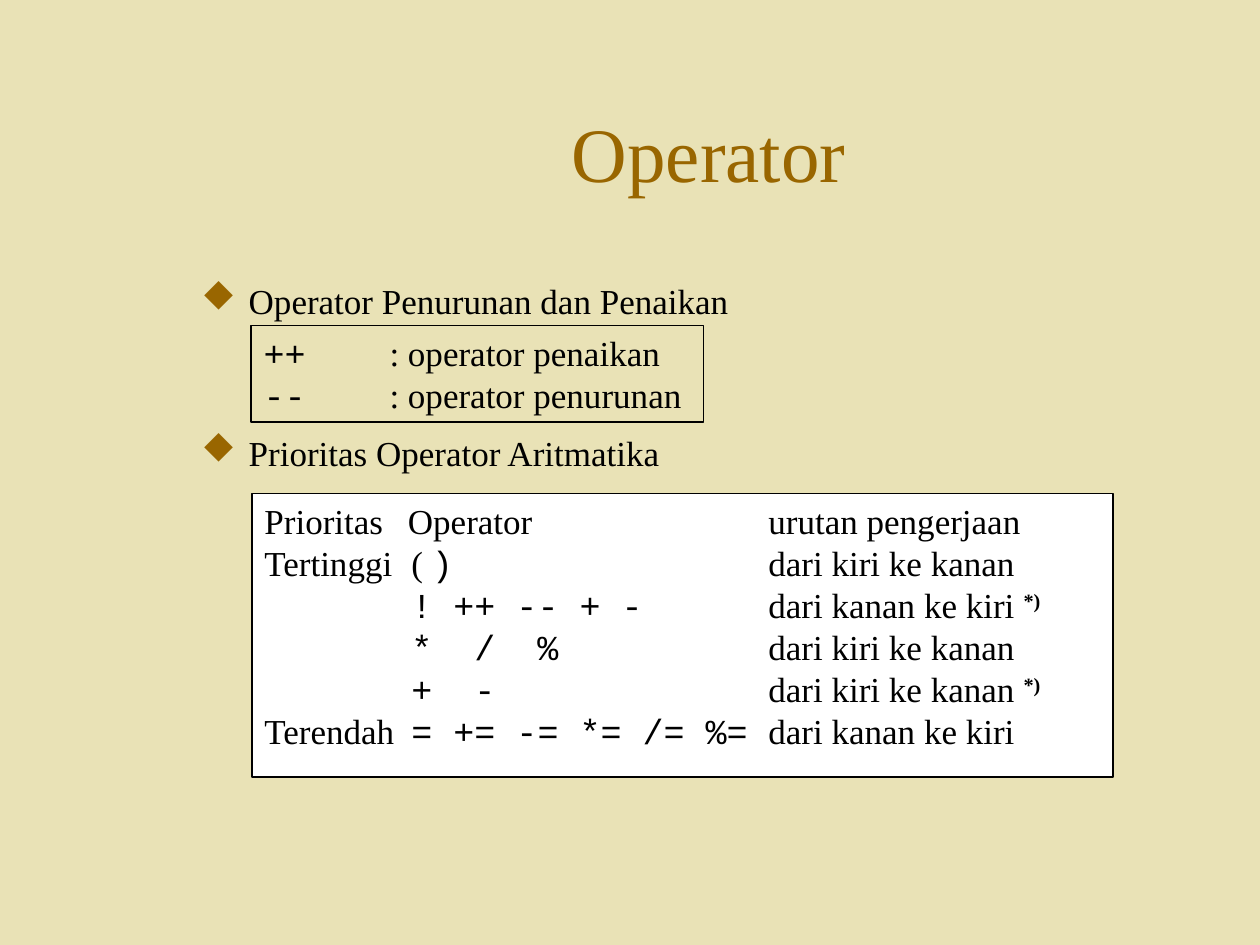
from lxml import etree
from pptx import Presentation
from pptx.dml.color import RGBColor
from pptx.enum.shapes import MSO_SHAPE
from pptx.enum.text import MSO_ANCHOR, PP_ALIGN
from pptx.oxml.ns import qn
from pptx.util import Pt

RECTANGLE = MSO_SHAPE.RECTANGLE
TOP, MIDDLE = MSO_ANCHOR.TOP, MSO_ANCHOR.MIDDLE
LEFT, CENTER = PP_ALIGN.LEFT, PP_ALIGN.CENTER
SERIF, MONO = "Times New Roman", "Courier New"
BULLET_FONT, DIAMOND = "Wingdings", "u"
BLACK, WHITE, BROWN, SAND = "000000", "FFFFFF", "996600", "E9E2B6"
TEXT_SIZE = 20
OPERATOR_STOP, OPERATOR_STEP, ORDER_STOP = 84, 36, 288

INCREMENT_ROWS = [("++", "operator penaikan"), ("--", "operator penurunan")]
PRIORITY_ROWS = [
    ("Tertinggi", [("( ", SERIF), (")", MONO)], "dari kiri ke kanan", ""),
    ("", [("! ++ -- + -", MONO)], "dari kanan ke kiri ", "*)"),
    ("", [("*\t/\t%", MONO)], "dari kiri ke kanan", ""),
    ("", [("+\t-", MONO)], "dari kiri ke kanan ", "*)"),
    ("Terendah", [("= += -= *= /= %=", MONO)], "dari kanan ke kiri", ""),
]


def color(value):
    return RGBColor.from_string(value)


def style_paragraph(para, size=TEXT_SIZE, ink=BLACK, align=LEFT):
    para.alignment = align
    para.font.size = Pt(size)
    para.font.name = SERIF
    para.font.color.rgb = color(ink)


def add_tab_stops(para, stops):
    tabs = etree.SubElement(para._p.get_or_add_pPr(), qn("a:tabLst"))
    for stop in stops:
        etree.SubElement(tabs, qn("a:tab"), pos=str(Pt(stop)), algn="l")


def add_bullet(para, indent):
    properties = para._p.get_or_add_pPr()
    properties.set("marL", str(Pt(indent)))
    properties.set("indent", str(-Pt(indent)))
    bullet_color = etree.SubElement(properties, qn("a:buClr"))
    etree.SubElement(bullet_color, qn("a:srgbClr"), val=BROWN)
    etree.SubElement(properties, qn("a:buFont"), typeface=BULLET_FONT, charset="2")
    etree.SubElement(properties, qn("a:buChar"), char=DIAMOND)


def add_span(para, text, font=SERIF):
    span = para.add_run()
    span.text = text
    span.font.name = font
    return span


def next_paragraph(frame, index):
    return frame.add_paragraph() if index else frame.paragraphs[0]


def add_frame(page, box):
    frame = page.shapes.add_textbox(*map(Pt, box)).text_frame
    frame.word_wrap = True
    return frame


def add_panel(page, box, line_width, fill=None):
    panel = page.shapes.add_shape(RECTANGLE, *map(Pt, box))
    panel.shadow.inherit = False
    if fill:
        panel.fill.solid()
        panel.fill.fore_color.rgb = color(fill)
    else:
        panel.fill.background()
    panel.line.color.rgb = color(BLACK)
    panel.line.width = Pt(line_width)
    panel.text_frame.vertical_anchor = TOP
    return panel.text_frame


def add_title(page, box, text):
    frame = add_frame(page, box)
    frame.vertical_anchor = MIDDLE
    para = frame.paragraphs[0]
    para.text = text
    style_paragraph(para, 44, BROWN, CENTER)


def add_headings(page, box, headings, gap):
    frame = add_frame(page, box)
    for index, text in enumerate(headings):
        para = next_paragraph(frame, index)
        para.text = text
        if index:
            para.space_before = Pt(gap)
        add_bullet(para, 27)
        style_paragraph(para)


def add_increment_panel(page, box):
    frame = add_panel(page, box, 1)
    frame.word_wrap = False
    for index, (operator, meaning) in enumerate(INCREMENT_ROWS):
        para = next_paragraph(frame, index)
        add_tab_stops(para, [72])
        style_paragraph(para)
        add_span(para, operator + "\t", MONO)
        add_span(para, ": " + meaning)


def add_priority_panel(page, box):
    frame = add_panel(page, box, 0.75, WHITE)
    frame.word_wrap = True
    header = frame.paragraphs[0]
    add_tab_stops(header, [OPERATOR_STOP - 2, ORDER_STOP])
    style_paragraph(header)
    header.add_run().text = "Prioritas\tOperator\turutan pengerjaan"
    for level, operators, order, mark in PRIORITY_ROWS:
        para = frame.add_paragraph()
        columns = 1 + sum(text.count("\t") for text, font in operators)
        stops = [OPERATOR_STOP + OPERATOR_STEP * column for column in range(columns)]
        add_tab_stops(para, stops + [ORDER_STOP])
        style_paragraph(para)
        add_span(para, level + "\t")
        for text, font in operators:
            add_span(para, text, font)
        add_span(para, "\t" + order)
        if mark:
            span = add_span(para, mark)
            span.font.bold = True
            span._r.get_or_add_rPr().set("baseline", "30000")


def main():
    deck = Presentation()
    deck.slide_width, deck.slide_height = Pt(720), Pt(540)
    page = deck.slides.add_slide(deck.slide_layouts[6])
    page.background.fill.solid()
    page.background.fill.fore_color.rgb = color(SAND)
    add_title(page, (108, 41.5, 594, 90), "Operator")
    headings = ["Operator Penurunan dan Penaikan", "Prioritas Operator Aritmatika"]
    add_headings(page, (108, 156, 600, 324), headings, 63)
    add_increment_panel(page, (143.5, 186, 258.5, 55.3))
    add_priority_panel(page, (144, 282, 492, 162))
    deck.save("out.pptx")


if __name__ == "__main__":
    main()
